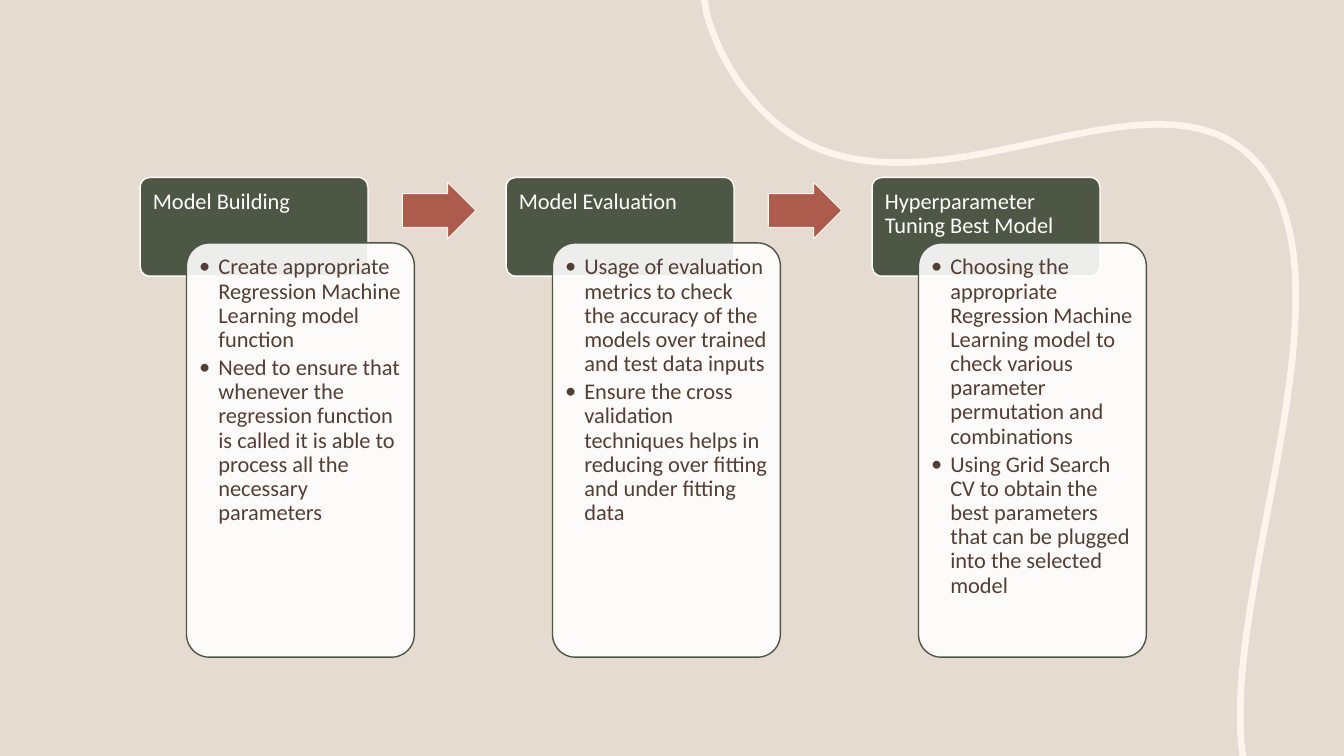
from lxml import etree
from pptx import Presentation
from pptx import util as u
from pptx.dml.color import RGBColor
from pptx.enum import shapes, text
from pptx.oxml.ns import qn

GREEN, RUST, CREAM, BROWN, WHITE = "4E5745", "AC5B4C", "FEF3ED", "543E34", "FFFFFF"
LEFT, TOP, STEP, CARD_W = 1.39, 1.76, 3.63, 2.26

STAGES = [
    ("Model Building", [
        "Create appropriate Regression Machine Learning model function",
        "Need to ensure that whenever the regression function is called it is able to "
        "process all the necessary parameters"]),
    ("Model Evaluation", [
        "Usage of evaluation metrics to check the accuracy of the models over trained "
        "and test data inputs",
        "Ensure the cross validation techniques helps in reducing over fitting and "
        "under fitting data"]),
    ("Hyperparameter Tuning Best Model", [
        "Choosing the appropriate Regression Machine Learning model to check various "
        "parameter permutation and combinations",
        "Using Grid Search CV to obtain the best parameters that can be plugged into "
        "the selected model"]),
]

RIBBON_BOX = ((6.98, -0.03), (12.85, 7.52))
RIBBON = [
    ("moveTo", [(12.33, 7.52)]),
    ("lnTo", [(12.31, 7.36)]),
    ("cubicBezTo", [(12.18, 5.68), (13.46, 2.78), (12.48, 1.63)]),
    ("cubicBezTo", [(11.4, 0.38), (8.82, 2.64), (7.45, 0.97)]),
    ("cubicBezTo", [(7.37, 0.88), (7.14, 0.59), (7.01, 0.14)]),
    ("cubicBezTo", [(7, 0.07), (6.98, -0.03), (6.98, -0.03)]),
]


def color(value):
    """Turn a hex string into a colour."""
    return RGBColor.from_string(value)


def set_line(sp, value, width):
    """Give a shape its outline and drop its shadow."""
    sp.shadow.inherit = False
    sp.line.color.rgb = color(value)
    sp.line.width = u.Pt(width)


def add_box(s, kind, left, top, width, height, fill, line, line_width, adj):
    """Add a filled preset shape."""
    sp = s.shapes.add_shape(kind, *map(u.Inches, (left, top, width, height)))
    for i, value in enumerate(adj):
        sp.adjustments[i] = value
    sp.fill.solid()
    sp.fill.fore_color.rgb = color(fill)
    set_line(sp, line, line_width)
    return sp


def set_alpha(sp, percent):
    """Set the opacity of a solid fill."""
    clr = sp._element.spPr.find(qn("a:solidFill"))[0]
    etree.SubElement(clr, qn("a:alpha")).set("val", str(percent * 1000))


def add_bullet(p, indent):
    """Give a paragraph a hanging bullet."""
    pPr = p._p.get_or_add_pPr()
    pPr.set("marL", str(u.Inches(indent)))
    pPr.set("indent", str(-u.Inches(indent)))
    etree.SubElement(pPr, qn("a:buFont")).set("typeface", "Calibri")
    etree.SubElement(pPr, qn("a:buChar")).set("char", "•")


def write(sp, lines, *, fill, inset, after=0, bullet=0):
    """Write top-left paragraphs into a shape."""
    tf = sp.text_frame
    tf.word_wrap = True
    tf.vertical_anchor = text.MSO_ANCHOR.TOP
    tf.margin_left = tf.margin_right = tf.margin_top = tf.margin_bottom = u.Inches(inset)
    for i, line in enumerate(lines):
        p = tf.add_paragraph() if i else tf.paragraphs[0]
        p.alignment = text.PP_ALIGN.LEFT
        p.line_spacing = 0.9
        p.space_after = u.Pt(after)
        if bullet:
            add_bullet(p, bullet)
        r = p.add_run()
        r.text = line
        r.font.name = "Calibri"
        r.font.size = u.Pt(16)
        r.font.color.rgb = color(fill)


def add_ribbon(s):
    """Draw the curved line that crosses the background."""
    (left, top), corner = RIBBON_BOX
    builder = s.shapes.build_freeform(u.Inches(left), u.Inches(top), scale=1.0)
    builder.add_line_segments([tuple(map(u.Inches, corner))], close=False)
    sp = builder.convert_to_shape()
    outline = next(sp._element.iter(qn("a:path")))
    for step in list(outline):
        outline.remove(step)
    for command, points in RIBBON:
        step = etree.SubElement(outline, qn(f"a:{command}"))
        for x, y in points:
            pt = etree.SubElement(step, qn("a:pt"))
            pt.set("x", str(u.Inches(x - left)))
            pt.set("y", str(u.Inches(y - top)))
    sp.fill.background()
    set_line(sp, CREAM, 4.75)


def add_stage(s, left, heading, details):
    """Add a heading card with its overlapping detail panel."""
    rounded = shapes.MSO_SHAPE.ROUNDED_RECTANGLE
    card = add_box(s, rounded, left, TOP, CARD_W, 0.98, GREEN, WHITE, 1, [0.1])
    write(card, [heading], fill=WHITE, inset=0.1)
    panel = add_box(s, rounded, left + 0.46, TOP + 0.65, CARD_W, 4.11, WHITE, GREEN, 1, [0.1])
    set_alpha(panel, 90)
    write(panel, details, fill=BROWN, inset=0.06, after=2.8, bullet=0.19)


def add_arrow(s, left):
    """Add the block arrow that leads to the next stage."""
    add_box(s, shapes.MSO_SHAPE.RIGHT_ARROW, left, TOP + 0.05, 0.73, 0.56,
            RUST, CREAM, 0.75, [0.6, 0.5])


def main():
    """Build the slide and save it."""
    prs = Presentation()
    prs.slide_width, prs.slide_height = u.Inches(13.33), u.Inches(7.5)
    s = prs.slides.add_slide(prs.slide_layouts[6])
    s.background.fill.solid()
    s.background.fill.fore_color.rgb = color("E6DBD0")
    add_ribbon(s)
    for i, (heading, details) in enumerate(STAGES):
        left = LEFT + i * STEP
        add_stage(s, left, heading, details)
        if i < len(STAGES) - 1:
            add_arrow(s, left + 2.6)
    prs.save("out.pptx")


if __name__ == "__main__":
    main()
